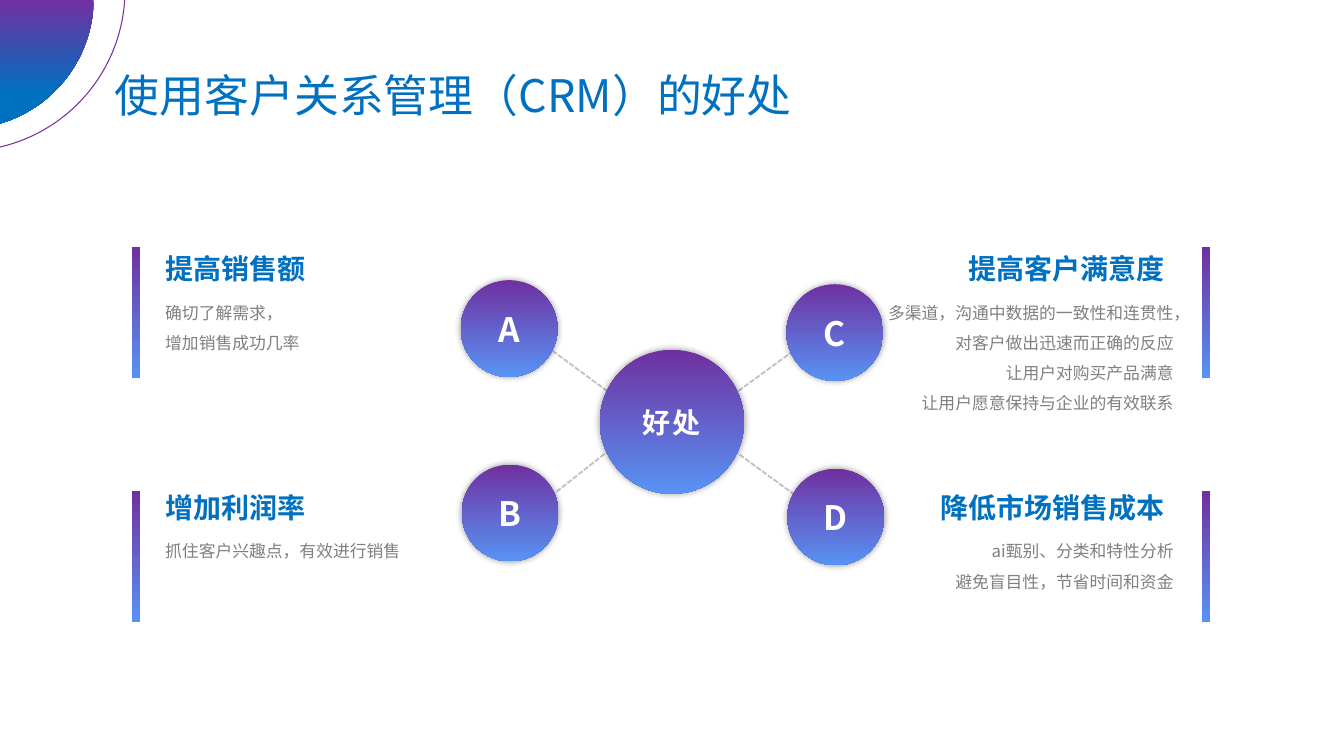
from math import acos, asin, cos, sin
from lxml.etree import SubElement
from pptx import Presentation
from pptx.dml.color import RGBColor
from pptx.enum.dml import MSO_LINE
from pptx.enum.shapes import MSO_CONNECTOR, MSO_SHAPE
from pptx.enum.text import MSO_ANCHOR, MSO_AUTO_SIZE, PP_ALIGN
from pptx.oxml.ns import qn
from pptx.util import Pt

PX = 9144
FACE = "Noto Sans CJK SC"
PURPLE = RGBColor(0x70, 0x30, 0xA0)
BLUE = RGBColor(0x00, 0x70, 0xC0)
SKY = RGBColor(0x57, 0x93, 0xF4)
GREY = RGBColor(0x80, 0x80, 0x80)
SILVER = RGBColor(0xBF, 0xBF, 0xBF)
WHITE = RGBColor(0xFF, 0xFF, 0xFF)

FORMATS = {
    "title": (BLUE, {"size": Pt(32), "bold": False}),
    "head": (BLUE, {"size": Pt(20), "bold": True}),
    "body": (GREY, {"size": Pt(12), "bold": False}),
    "node": (WHITE, {"size": Pt(24), "bold": True}),
    "hub": (WHITE, {"size": Pt(20), "bold": True}),
}
NODES = [("A", 457, 278), ("C", 780, 282), ("B", 458, 461), ("D", 781, 465)]
SPOKES = [(548, 348, 605, 390), (787, 348, 728, 391),
          (605, 446, 548, 491), (728, 447, 787, 490)]
LEFT = [
    ("提高销售额", ["确切了解需求，", "增加销售成功几率"], 245, 245),
    ("增加利润率", ["抓住客户兴趣点，有效进行销售"], 482, 487),
]
RIGHT = [
    ("提高客户满意度", ["多渠道，沟通中数据的一致性和连贯性，对客户做出迅速而正确的反应",
                 "让用户对购买产品满意", "让用户愿意保持与企业的有效联系"], 245, 245),
    ("降低市场销售成本", ["ai甄别、分类和特性分析", "避免盲目性，节省时间和资金"], 482, 487),
]


def scale(*nums):
    """Turn px into EMU."""
    return [round(num * PX) for num in nums]


def write(frame, lines, style, align, pad=(10, 5), wrap=True, space=1.0):
    """Fill a text frame with lines in one named format."""
    side, top = scale(*pad)
    layout = {"margin_left": side, "margin_right": side, "margin_top": top,
              "margin_bottom": top, "word_wrap": wrap, "auto_size": MSO_AUTO_SIZE.NONE}
    for name, value in layout.items():
        setattr(frame, name, value)
    color, looks = FORMATS[style]
    for place, line in enumerate(lines):
        para = frame.paragraphs[0] if place == 0 else frame.add_paragraph()
        para.alignment, para.line_spacing = align, space
        para._p.get_or_add_pPr().set("hangingPunct", "1")
        run = para.add_run()
        run.text = line
        for name, value in {"name": FACE, **looks}.items():
            setattr(run.font, name, value)
        run.font.color.rgb = color
        SubElement(run.font._element, qn("a:ea"), typeface=FACE)
        if style == "hub":
            run.font._element.set("spc", "150")


def shade(shape, end=SKY, stop=1.0):
    """Paint a shape from purple at the top to another colour below."""
    shape.shadow.inherit = False
    shape.line.fill.background()
    shape.fill.gradient()
    shape.fill.gradient_angle = 270
    for mark, color, place in zip(shape.fill.gradient_stops, (PURPLE, end), (0, stop)):
        mark.color.rgb, mark.position = color, place


def arc(shapes, x, y, size):
    """Draw the part of a circle that lies in the top left corner."""
    first, last = asin(-y / size), acos(-x / size)
    turns = [first + (last - first) * step / 60 for step in range(61)]
    spots = [scale(x + size * cos(turn), y + size * sin(turn)) for turn in turns]
    return spots, shapes.build_freeform(*spots[0], scale=1.0)


def corner(shapes):
    """Draw the filled disc and the thin ring in the corner."""
    spots, disc = arc(shapes, -37, -2, 130)
    disc.add_line_segments(spots[1:] + [(0, 0)], close=True)
    shade(disc.convert_to_shape(), BLUE, 0.75)
    spots, ring = arc(shapes, -36, -10, 160)
    ring.add_line_segments(spots[1:], close=False)
    curve = ring.convert_to_shape()
    curve.shadow.inherit = False
    curve.fill.background()
    curve.line.color.rgb = PURPLE
    curve.line.width = Pt(0.75)


def spoke(shapes, ends):
    """Draw one dashed line between the hub and a node."""
    line = shapes.add_connector(MSO_CONNECTOR.STRAIGHT, *scale(*ends))
    SubElement(line._element.spPr, qn("a:effectLst"))
    line.line.color.rgb = SILVER
    line.line.width = Pt(1.25)
    line.line.dash_style = MSO_LINE.SQUARE_DOT


def ball(shapes, label, style, x, y, size):
    """Draw one labelled circle with a soft shadow."""
    disc = shapes.add_shape(MSO_SHAPE.OVAL, *scale(x, y, size, size))
    shade(disc)
    glow = SubElement(disc._element.spPr.find(qn("a:effectLst")), qn("a:outerShdw"),
                      blurRad=str(Pt(5)), dist="0", dir="0", algn="ctr", rotWithShape="0")
    tint = SubElement(glow, qn("a:srgbClr"), val="000000")
    SubElement(tint, qn("a:alpha"), val="40000")
    disc.text_frame.vertical_anchor = MSO_ANCHOR.MIDDLE
    write(disc.text_frame, [label], style, PP_ALIGN.CENTER, (0, 0), False)


def card(shapes, item, x, bar, align):
    """Place a heading, its lines and the side bar in one column."""
    head, lines, top, edge = item
    strip = shapes.add_shape(MSO_SHAPE.RECTANGLE, *scale(bar, edge, 8, 130))
    shade(strip)
    shift = 9 if align == PP_ALIGN.RIGHT else 0
    title = shapes.add_textbox(*scale(x, top, 309 - shift, 44))
    write(title.text_frame, [head], "head", align)
    body = shapes.add_textbox(*scale(x, top + 40, 309, 7 + 30 * len(lines)))
    write(body.text_frame, lines, "body", align, space=1.5)


def main():
    """Build the slide and save it."""
    deck = Presentation()
    deck.slide_width, deck.slide_height = scale(1333, 750)
    slide = deck.slides.add_slide(deck.slide_layouts[5])
    shapes = slide.shapes
    title = shapes.title
    title.left, title.top, title.width, title.height = scale(104, 62, 712, 172)
    title.text_frame.vertical_anchor = MSO_ANCHOR.TOP
    write(title.text_frame, ["使用客户关系管理（CRM）的好处"], "title", PP_ALIGN.JUSTIFY)
    corner(shapes)
    for ends in SPOKES:
        spoke(shapes, ends)
    for label, x, y in NODES:
        ball(shapes, label, "node", x, y, 96)
    ball(shapes, "好处", "hub", 595, 347, 143)
    for item in LEFT:
        card(shapes, item, 154, 131, PP_ALIGN.LEFT)
    for item in RIGHT:
        card(shapes, item, 865, 1192, PP_ALIGN.RIGHT)
    deck.save("out.pptx")


if __name__ == "__main__":
    main()
